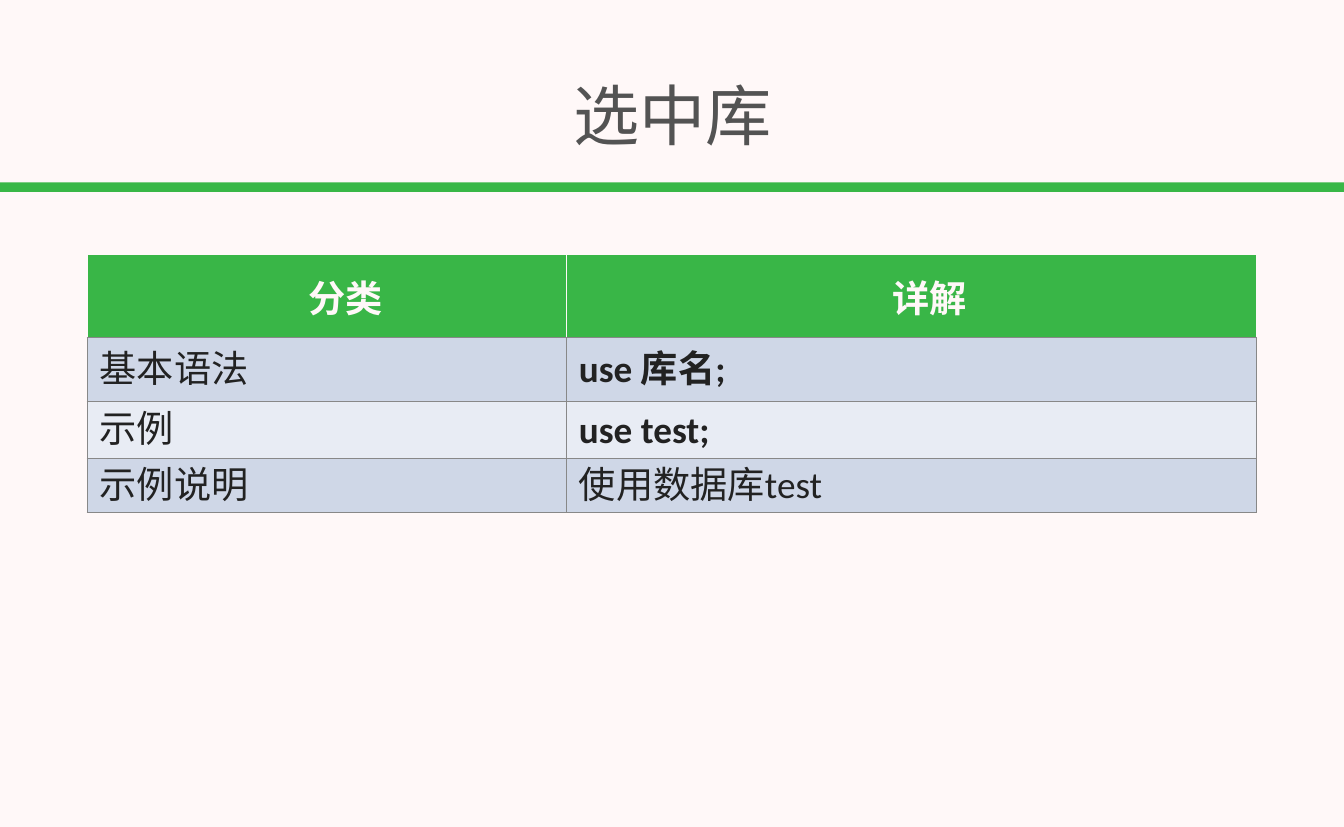
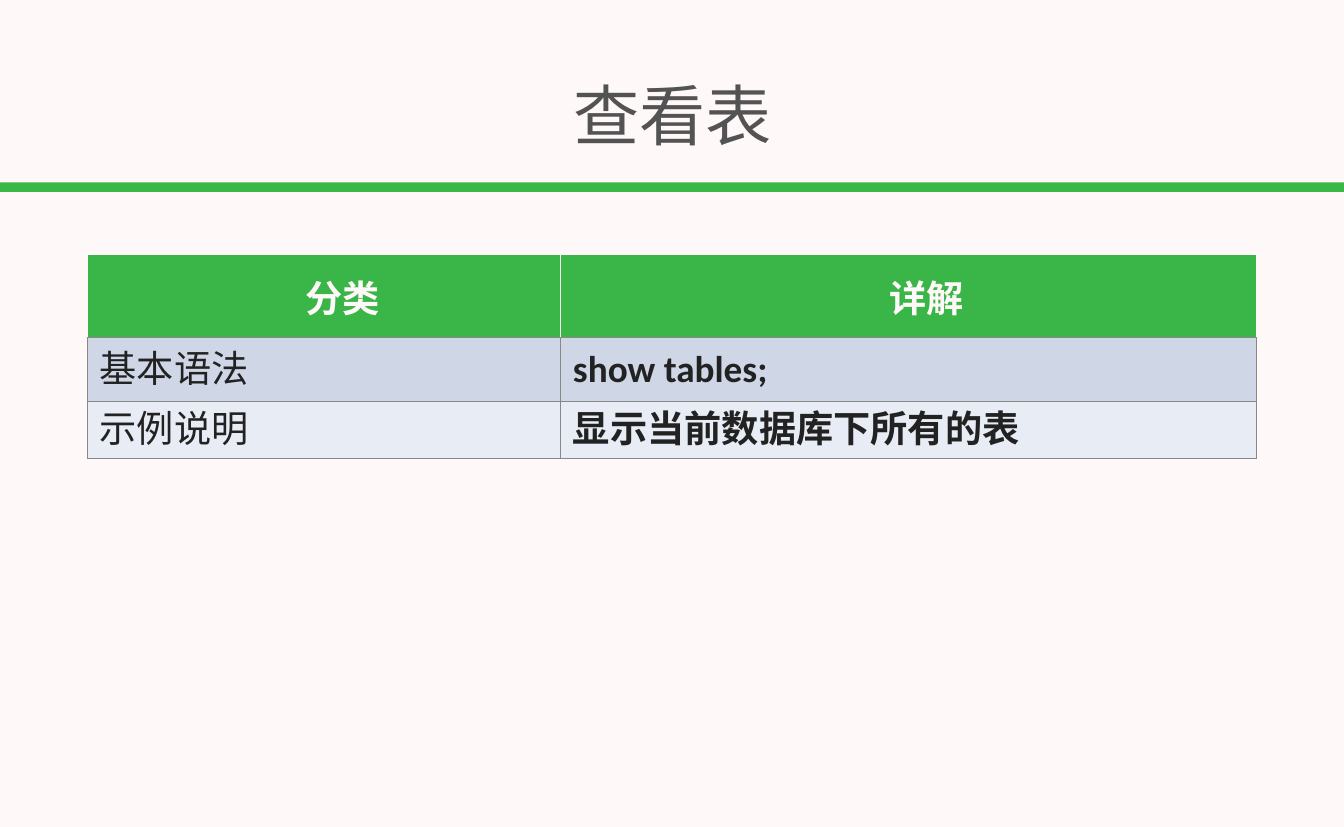
from dataclasses import dataclass

from lxml import etree
from pptx import Presentation
from pptx.dml import color
from pptx.enum import shapes, text
from pptx.oxml import ns
from pptx import util as u


@dataclass(frozen=True)
class Theme:
    background: str = "FFF8F8"
    band: str = "39B747"
    header: str = "39B647"
    title: str = "535353"
    body: str = "222222"
    grid: str = "888888"
    stripes: tuple = ("CFD7E7", "E8ECF4")
    font: str = "Calibri"
    title_size: float = 64
    table_size: float = 36
    table_leading: float = 46
    grid_width: float = 1


THEME = Theme()
SLIDE_WIDTH, SLIDE_HEIGHT = 18.06, 11.11
TABLE_LEFT, TABLE_TOP, TABLE_WIDTH = 1.17, 3.42, 15.71
ROW_HEIGHTS = (1.11, 0.86, 0.77, 0.72)
HEADINGS = ("分类", "详解")

SLIDES = (
    ("选中库", 6.44, (
        ("基本语法", "use 库名;", True),
        ("示例", "use test;", True),
        ("示例说明", "使用数据库test", False),
    )),
    ("查看表", 6.36, (
        ("基本语法", "show tables;", True),
        ("示例说明", "显示当前数据库下所有的表", True),
    )),
)


def rgb(value):
    return color.RGBColor.from_string(value)


def paint(fill, value):
    fill.solid()
    fill.fore_color.rgb = rgb(value)


def add_run(paragraph, content, size, value, bold=False):
    run = paragraph.add_run()
    run.text = content
    run.font.name = THEME.font
    run.font.size = u.Pt(size)
    run.font.bold = bold
    run.font.color.rgb = rgb(value)


def set_margins(target, horizontal, vertical):
    target.margin_left = target.margin_right = u.Inches(horizontal)
    target.margin_top = target.margin_bottom = u.Inches(vertical)


def set_borders(cell, left, right, top, bottom):
    properties = cell._tc.get_or_add_tcPr()
    for side, value in zip("LRTB", (left, right, top, bottom)):
        line = etree.SubElement(properties, ns.qn(f"a:ln{side}"),
                                w=str(u.Pt(THEME.grid_width)))
        solid = etree.SubElement(line, ns.qn("a:solidFill"))
        etree.SubElement(solid, ns.qn("a:srgbClr"), val=value)


def add_band(slide):
    band = slide.shapes.add_shape(
        shapes.MSO_SHAPE.RECTANGLE, 0, u.Inches(2.45),
        u.Inches(SLIDE_WIDTH), u.Inches(0.13))
    band.shadow.inherit = False
    paint(band.fill, THEME.band)
    band.line.fill.background()


def format_title(slide, content):
    title = slide.shapes.title
    title.left, title.top = u.Inches(0.05), u.Inches(0.82)
    title.width, title.height = u.Inches(17.97), u.Inches(1.42)
    frame = title.text_frame
    frame.word_wrap = True
    frame.auto_size = text.MSO_AUTO_SIZE.NONE
    frame.vertical_anchor = text.MSO_ANCHOR.MIDDLE
    set_margins(frame, 0.05, 0.05)
    paragraph = frame.paragraphs[0]
    paragraph.alignment = text.PP_ALIGN.CENTER
    add_run(paragraph, content, THEME.title_size, THEME.title)


def format_cell(cell, fill, horizontal, vertical, borders):
    cell.vertical_anchor = text.MSO_ANCHOR.MIDDLE
    set_margins(cell, horizontal, vertical)
    set_borders(cell, *borders)
    paint(cell.fill, fill)
    return cell.text_frame.paragraphs[0]


def fill_header_cell(cell, content):
    edge = THEME.background
    paragraph = format_cell(cell, THEME.header, 0, 0,
                            (edge, edge, edge, THEME.grid))
    paragraph.alignment = text.PP_ALIGN.CENTER
    properties = paragraph._p.get_or_add_pPr()
    properties.set("marL", "0")
    properties.set("indent", str(u.Inches(0.5)))
    add_run(paragraph, content, THEME.table_size, THEME.background, True)


def fill_body_cell(cell, content, fill, bold):
    paragraph = format_cell(cell, fill, 0.17, 0.04, (THEME.grid,) * 4)
    paragraph.line_spacing = u.Pt(THEME.table_leading)
    add_run(paragraph, content, THEME.table_size, THEME.body, bold)


def add_detail_table(slide, first_width, rows):
    heights = ROW_HEIGHTS[:len(rows) + 1]
    table = slide.shapes.add_table(
        len(heights), len(HEADINGS), u.Inches(TABLE_LEFT),
        u.Inches(TABLE_TOP), u.Inches(TABLE_WIDTH),
        u.Inches(sum(heights))).table
    table.first_row = table.horz_banding = False
    for column, width in zip(table.columns,
                             (first_width, TABLE_WIDTH - first_width)):
        column.width = u.Inches(width)
    for row, height in zip(table.rows, heights):
        row.height = u.Inches(height)
    for column, heading in enumerate(HEADINGS):
        fill_header_cell(table.cell(0, column), heading)
    for index, (category, detail, bold) in enumerate(rows):
        stripe = THEME.stripes[index % 2]
        fill_body_cell(table.cell(index + 1, 0), category, stripe, False)
        fill_body_cell(table.cell(index + 1, 1), detail, stripe, bold)


def main():
    presentation = Presentation()
    presentation.slide_width = u.Inches(SLIDE_WIDTH)
    presentation.slide_height = u.Inches(SLIDE_HEIGHT)
    paint(presentation.slide_master.background.fill, THEME.background)
    title_only = presentation.slide_layouts.get_by_name("Title Only")
    for title, first_width, rows in SLIDES:
        slide = presentation.slides.add_slide(title_only)
        add_band(slide)
        format_title(slide, title)
        add_detail_table(slide, first_width, rows)
    presentation.save("out.pptx")


if __name__ == "__main__":
    main()
